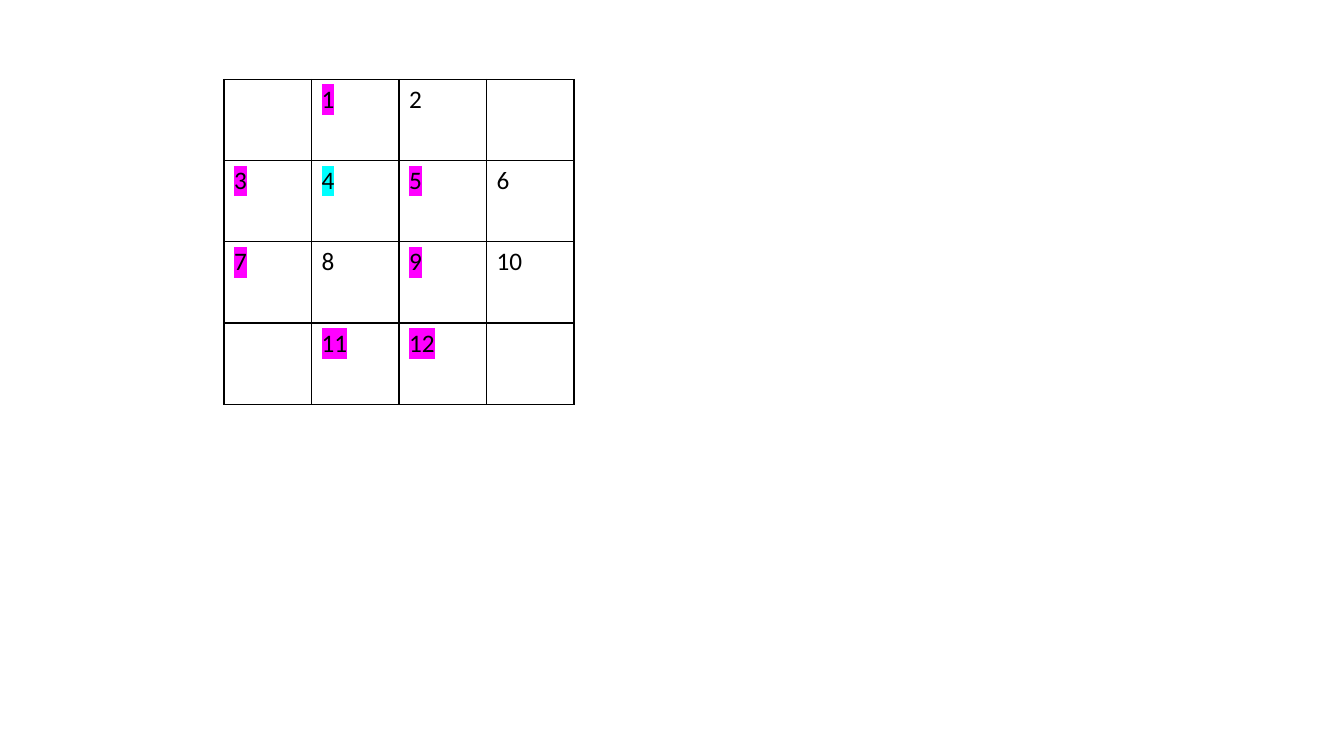
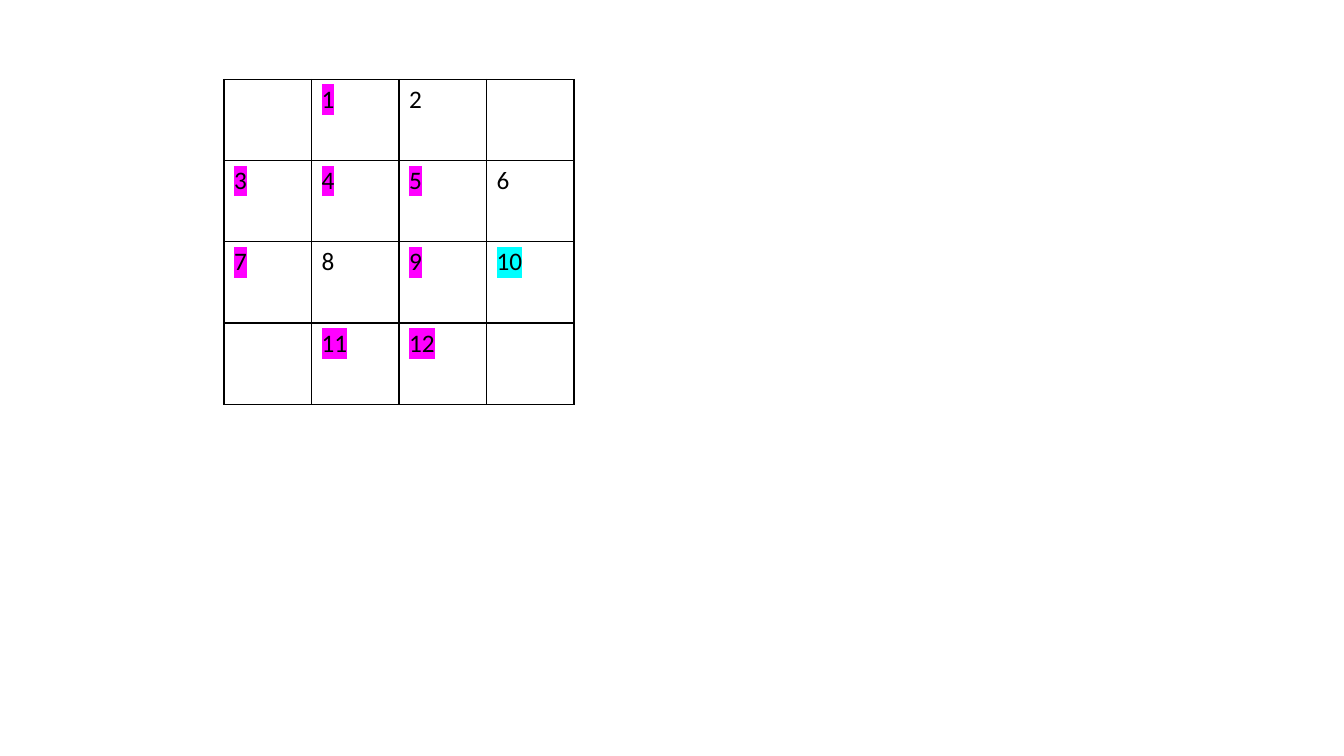
import dataclasses

import lxml.etree
import pptx
import pptx.dml.color
import pptx.oxml.ns
import pptx.util


@dataclasses.dataclass(frozen=True)
class Theme:
    """Colours, type and grid; grid lengths are percent of the slide's size."""
    font: str = "Calibri"
    size: int = 18
    ink: str = "000000"
    visited: str = "FF00FF"
    current: str = "00FFFF"
    border: int = 1
    left: float = 16.67
    top: float = 10.5
    column: float = 6.51
    row: float = 10.75


def add_element(parent, tag, **attributes):
    return lxml.etree.SubElement(parent, pptx.oxml.ns.qn(tag), attributes)


def write_text(paragraph, text, *, font, size, color, highlight=None):
    run = paragraph.add_run()
    run.text = text
    run.font.size = pptx.util.Pt(size)
    run.font.color.rgb = pptx.dml.color.RGBColor.from_string(color)
    if highlight:
        # The highlight belongs between the fill and the typeface
        mark = add_element(run.font._element, "a:highlight")
        add_element(mark, "a:srgbClr", val=highlight)
    run.font.name = font


class Deck:
    def __init__(self, theme):
        self.theme = theme
        self.presentation = pptx.Presentation()
        self.presentation.slide_width = pptx.util.Inches(13.33)
        self.presentation.slide_height = pptx.util.Inches(7.5)
        self.slide = None

    def add_slide(self):
        self.slide = self.presentation.slides.add_slide(
            self.presentation.slide_layouts[6])

    def across(self, percent):
        return round(self.presentation.slide_width * percent / 100)

    def down(self, percent):
        return round(self.presentation.slide_height * percent / 100)

    def outline(self, cell):
        properties = cell._tc.get_or_add_tcPr()
        for side in ("L", "R", "T", "B"):
            line = add_element(properties, f"a:ln{side}",
                               w=str(pptx.util.Pt(self.theme.border)))
            fill = add_element(line, "a:solidFill")
            add_element(fill, "a:srgbClr", val=self.theme.ink)

    def number_grid(self, rows, highlights):
        theme = self.theme
        row_count, column_count = len(rows), len(rows[0])
        table = self.slide.shapes.add_table(
            row_count, column_count,
            self.across(theme.left), self.down(theme.top),
            self.across(theme.column * column_count),
            self.down(theme.row * row_count)).table
        table.first_row = table.horz_banding = False
        for row, numbers in enumerate(rows):
            for column, number in enumerate(numbers):
                cell = table.cell(row, column)
                self.outline(cell)
                cell.fill.background()
                if number:
                    write_text(cell.text_frame.paragraphs[0], str(number),
                               font=theme.font, size=theme.size,
                               color=theme.ink,
                               highlight=highlights.get(number))


# Numbered squares; the four corners stay empty
BOARD = [
    [None, 1, 2, None],
    [3, 4, 5, 6],
    [7, 8, 9, 10],
    [None, 11, 12, None],
]
VISITED = [1, 3, 5, 7, 9, 11, 12]

# One slide per step: visited squares and the current one
STEPS = [(VISITED, 4), (VISITED + [4], 10)]


def main():
    theme = Theme()
    deck = Deck(theme)
    for visited, current in STEPS:
        deck.add_slide()
        highlights = dict.fromkeys(visited, theme.visited)
        highlights[current] = theme.current
        deck.number_grid(BOARD, highlights)
    deck.presentation.save("out.pptx")


if __name__ == "__main__":
    main()
